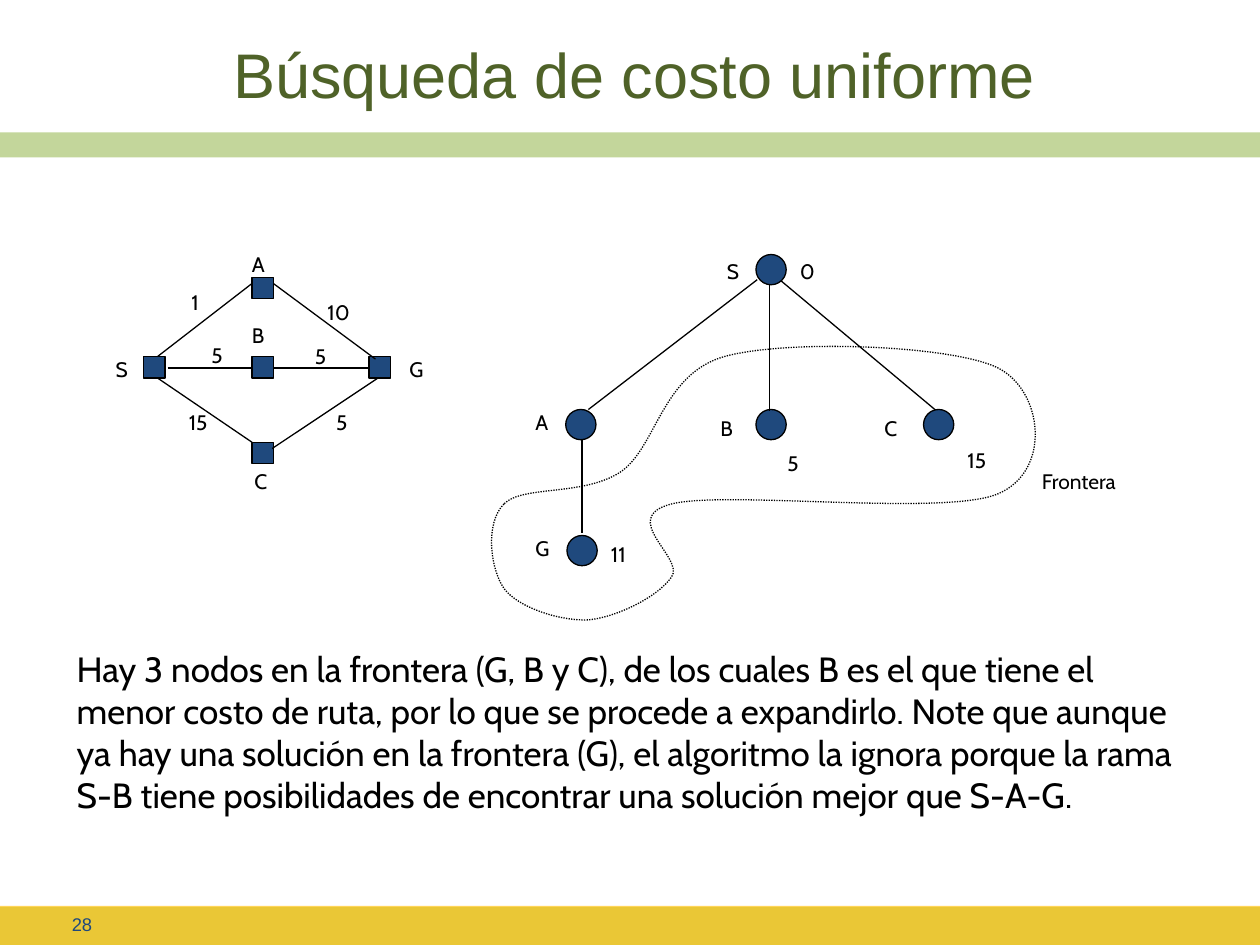
"""Builds the uniform-cost search slide: a weighted graph, its search tree and the frontier."""
from dataclasses import dataclass

from lxml import etree
from pptx import Presentation
from pptx.dml.color import RGBColor
from pptx.enum.dml import MSO_LINE
from pptx.enum.shapes import MSO_CONNECTOR, MSO_SHAPE
from pptx.enum.text import MSO_ANCHOR, MSO_AUTO_SIZE, PP_ALIGN
from pptx.oxml.ns import qn
from pptx.util import Inches, Pt

RECTANGLE, CIRCLE = MSO_SHAPE.RECTANGLE, MSO_SHAPE.OVAL
STRAIGHT, DOTTED = MSO_CONNECTOR.STRAIGHT, MSO_LINE.ROUND_DOT
TOP, MIDDLE = MSO_ANCHOR.TOP, MSO_ANCHOR.MIDDLE
LEFT, CENTER, RIGHT = PP_ALIGN.LEFT, PP_ALIGN.CENTER, PP_ALIGN.RIGHT
GROW, FIXED = MSO_AUTO_SIZE.SHAPE_TO_FIT_TEXT, MSO_AUTO_SIZE.NONE


@dataclass(frozen=True)
class Theme:
    green: str = "C3D69B"
    gold: str = "FFC000"
    navy: str = "1F497D"
    olive: str = "4F6228"
    ink: str = "000000"
    heading_font: str = "Arial"
    body_font: str = "Cabin"
    title_size: float = 36
    body_size: float = 20
    label_size: float = 12
    number_size: float = 10.5
    stroke: float = 0.75


@dataclass(frozen=True)
class Style:
    font: str
    size: float
    color: str
    align: PP_ALIGN = LEFT
    anchor: MSO_ANCHOR = TOP
    wrap: bool = True
    fit: MSO_AUTO_SIZE = GROW


@dataclass(frozen=True)
class Box:
    left: float
    top: float
    width: float
    height: float

    def lengths(self) -> tuple:
        return tuple(Inches(v) for v in (self.left, self.top, self.width, self.height))


@dataclass(frozen=True)
class Label:
    text: str
    left: float
    top: float
    width: float = 0.3


@dataclass(frozen=True)
class Edge:
    x1: float
    y1: float
    x2: float
    y2: float


@dataclass(frozen=True)
class Diagram:
    kind: MSO_SHAPE
    node_size: float
    nodes: list[tuple]
    edges: list[Edge]
    labels: list[Label]


THEME = Theme()
TITLE = Style(THEME.heading_font, THEME.title_size, THEME.olive, CENTER, MIDDLE)
NUMBER = Style(THEME.heading_font, THEME.number_size, THEME.navy, RIGHT, MIDDLE, fit=FIXED)
BODY = Style(THEME.body_font, THEME.body_size, THEME.ink)
LABEL = Style(THEME.body_font, THEME.label_size, THEME.ink, wrap=False)
LABEL_HEIGHT = 0.3

EXPLANATION = (
    "Hay 3 nodos en la frontera (G, B y C), de los cuales B es el que tiene el menor costo "
    "de ruta, por lo que se procede a expandirlo. Note que aunque ya hay una solución en la "
    "frontera (G), el algoritmo la ignora porque la rama S-B tiene posibilidades de encontrar "
    "una solución mejor que S-A-G."
)
TREE = Diagram(
    CIRCLE, 0.24,
    [(6, 2.02), (6, 3.25), (4.49, 3.25), (7.33, 3.25), (4.5, 4.25)],
    [Edge(6.01, 2.22, 4.67, 3.25), Edge(6.11, 2.26, 6.11, 3.26),
     Edge(6.2, 2.23, 7.42, 3.25), Edge(4.62, 3.49, 4.62, 4.23)],
    [Label("S", 5.67, 2, 0.29), Label("0", 6.25, 2, 0.29), Label("A", 4.15, 3.2),
     Label("C", 6.92, 3.25), Label("B", 5.62, 3.25), Label("11", 4.75, 4.25, 0.38),
     Label("5", 6.15, 3.53, 0.29), Label("15", 7.58, 3.5, 0.38),
     Label("G", 4.15, 4.2, 0.31), Label("Frontera", 8.17, 3.67, 0.82)],
)
GRAPH = Diagram(
    RECTANGLE, 0.17,
    [(1.14, 2.83), (2, 2.83), (2.93, 2.83), (2, 2.2), (2, 3.51)],
    [Edge(1.33, 2.92, 2, 2.92), Edge(2.17, 2.92, 2.92, 2.92), Edge(1.25, 3, 2, 3.51),
     Edge(2.17, 2.25, 2.98, 2.85), Edge(1.25, 2.83, 2, 2.25), Edge(2.16, 3.56, 3, 3)],
    [Label("S", 0.82, 2.78, 0.29), Label("C", 1.92, 3.67), Label("G", 3.15, 2.78, 0.31),
     Label("A", 1.9, 1.95), Label("B", 1.9, 2.51), Label("1", 1.42, 2.25, 0.29),
     Label("10", 2.5, 2.33, 0.38), Label("5", 1.58, 2.67, 0.29), Label("5", 2.4, 2.68, 0.29),
     Label("15", 1.4, 3.2, 0.38), Label("5", 2.57, 3.2, 0.29)],
)
FRONTIER_BOX = Box(3.85, 2.69, 4.5, 2.24)
FRONTIER_START = (4, 4)
FRONTIER_CURVES = [
    ((3.85, 4.15), (3.89, 4.51), (4, 4.67)),
    ((4.11, 4.82), (4.44, 4.93), (4.67, 4.92)),
    ((4.89, 4.9), (5.22, 4.74), (5.33, 4.58)),
    ((5.44, 4.43), (4.9, 4.11), (5.33, 4)),
    ((5.76, 3.89), (7.49, 4.1), (7.92, 3.92)),
    ((8.35, 3.74), (8.28, 3.1), (7.92, 2.92)),
    ((7.56, 2.74), (6.25, 2.69), (5.75, 2.83)),
    ((5.25, 2.97), (5.21, 3.56), (4.92, 3.75)),
    ((4.62, 3.94), (4.15, 3.85), (4, 4)),
]


def set_stroke(line) -> None:
    line.color.rgb = RGBColor.from_string(THEME.ink)
    line.width = Pt(THEME.stroke)


def add_filled(page, kind: MSO_SHAPE, box: Box, color: str, outlined: bool = False):
    shape = page.shapes.add_shape(kind, *box.lengths())
    shape.shadow.inherit = False
    shape.fill.solid()
    shape.fill.fore_color.rgb = RGBColor.from_string(color)
    if outlined:
        set_stroke(shape.line)
    else:
        shape.line.fill.background()
    return shape


def set_opacity(shape, percent: int) -> None:
    color = shape.element.spPr.find(qn("a:solidFill"))[0]
    etree.SubElement(color, qn("a:alpha")).set("val", str(percent * 1000))


def add_text(page, text: str, box: Box, style: Style) -> None:
    frame = page.shapes.add_textbox(*box.lengths()).text_frame
    frame.word_wrap = style.wrap
    frame.auto_size = style.fit
    frame.vertical_anchor = style.anchor
    para = frame.paragraphs[0]
    para.alignment = style.align
    span = para.add_run()
    span.text = text
    span.font.name = style.font
    span.font.size = Pt(style.size)
    span.font.color.rgb = RGBColor.from_string(style.color)


def add_edge(page, edge: Edge) -> None:
    ends = (Inches(v) for v in (edge.x1, edge.y1, edge.x2, edge.y2))
    connector = page.shapes.add_connector(STRAIGHT, *ends)
    set_stroke(connector.line)
    etree.SubElement(connector.element.spPr, qn("a:effectLst"))


def add_diagram(page, diagram: Diagram) -> None:
    for left, top in diagram.nodes:
        box = Box(left, top, diagram.node_size, diagram.node_size)
        add_filled(page, diagram.kind, box, THEME.navy, outlined=True)
    for edge in diagram.edges:
        add_edge(page, edge)
    for label in diagram.labels:
        add_text(page, label.text, Box(label.left, label.top, label.width, LABEL_HEIGHT), LABEL)


def add_frontier(page) -> None:
    box = FRONTIER_BOX
    builder = page.shapes.build_freeform(*(Inches(v) for v in FRONTIER_START), scale=1.0)
    builder.add_line_segments([tuple(Inches(v) for v in curve[-1]) for curve in FRONTIER_CURVES])
    outline = builder.convert_to_shape()
    outline.left, outline.top, outline.width, outline.height = box.lengths()
    outline.shadow.inherit = False
    outline.fill.background()
    set_stroke(outline.line)
    outline.line.dash_style = DOTTED
    route = next(outline.element.iter(qn("a:path")))
    for child in list(route):
        route.remove(child)
    route.set("w", str(outline.width))
    route.set("h", str(outline.height))
    steps = [("a:moveTo", (FRONTIER_START,))] + [("a:cubicBezTo", c) for c in FRONTIER_CURVES]
    for tag, points in steps:
        command = etree.SubElement(route, qn(tag))
        for x, y in points:
            point = etree.SubElement(command, qn("a:pt"))
            point.set("x", str(Inches(x - box.left)))
            point.set("y", str(Inches(y - box.top)))
    etree.SubElement(route, qn("a:close"))


def main() -> None:
    deck = Presentation()
    deck.slide_width, deck.slide_height = Inches(10), Inches(7.5)
    page = deck.slides.add_slide(deck.slide_layouts[6])
    add_filled(page, RECTANGLE, Box(0, 1.05, 10, 0.2), THEME.green)
    add_filled(page, RECTANGLE, Box(0, 7.2, 10, 0.3), THEME.green)
    set_opacity(add_filled(page, RECTANGLE, Box(0, 7.19, 10, 0.31), THEME.gold), 65)
    add_text(page, "28", Box(0.34, 7.22, 0.49, 0.23), NUMBER)
    add_text(page, "Búsqueda de costo uniforme", Box(0.35, 0.23, 9.37, 0.71), TITLE)
    for diagram in (TREE, GRAPH):
        add_diagram(page, diagram)
    add_text(page, EXPLANATION, Box(0.51, 5.09, 8.98, 1.77), BODY)
    add_frontier(page)
    deck.save("out.pptx")


if __name__ == "__main__":
    main()
